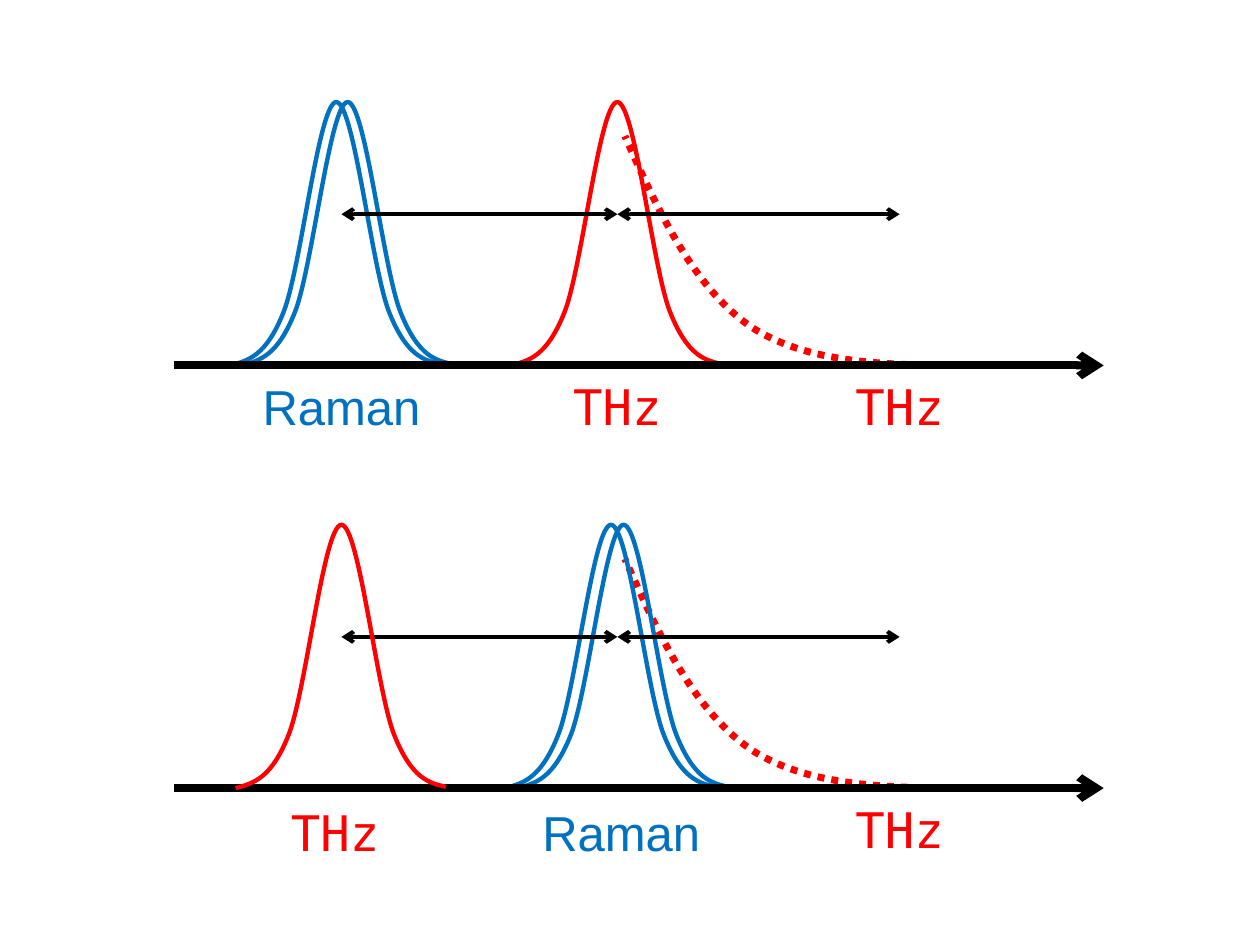
import pptx
import pptx.dml.color
import pptx.enum.dml
import pptx.enum.shapes
import pptx.enum.text
import pptx.oxml.ns
import pptx.util
from lxml import etree

COLUMNS, ROWS = 100, 75
RED, BLUE, BLACK = "FF0000", "0070C0", "000000"
AXIS_ROW, ARROW_ROW = 29, 17
LEFT_PEAK, MIDDLE_PEAK, RIGHT_PEAK = 27.1, 49, 71.4
PULSE = [(-8.4, 0), (-7, -0.4), (-5.6, -0.7), (-4.2, -4.2), (-2.8, -7.7),
         (-1.4, -20.9), (0, -20.9), (1.4, -20.9), (2.8, -7.7), (4.2, -4.2),
         (5.6, -0.7), (7, -0.4), (8.3, -0.1)]
DECAY = [(28.6, 0), (22, 0), (15.4, 0), (10.7, -3), (6.1, -6.1),
         (3.3, -12.1), (0.6, -18.2)]


def color(hex_string):
    return pptx.dml.color.RGBColor.from_string(hex_string)


def tag(name):
    return pptx.oxml.ns.qn("a:" + name)


class Diagram:
    def __init__(self, deck):
        self.cell_width = deck.slide_width / COLUMNS
        self.cell_height = deck.slide_height / ROWS
        self.slide = deck.slides.add_slide(deck.slide_layouts[6])

    def start_panel(self, top):
        self.panel = self.slide.shapes.add_group_shape().shapes
        self.top = top

    def place(self, column, row):
        return (round(column * self.cell_width),
                round((self.top + row) * self.cell_height))

    def stroke(self, line, hex_string, width):
        line.color.rgb = color(hex_string)
        line.width = pptx.util.Pt(width)

    def curve(self, points, center, hex_string, width=2.5, dash=None):
        places = [self.place(center + x, AXIS_ROW + y) for x, y in points]
        builder = self.panel.build_freeform(*places[0])
        builder.add_line_segments(places[1:], close=False)
        outline = builder.convert_to_shape()
        outline.shadow.inherit = False
        outline.fill.background()
        self.stroke(outline.line, hex_string, width)
        if dash:
            outline.line.dash_style = dash
        route = outline.element.find(".//" + tag("path"))
        segments = route.findall(tag("lnTo"))
        for first in range(0, len(segments), 3):
            bezier = etree.SubElement(route, tag("cubicBezTo"))
            for segment in segments[first:first + 3]:
                bezier.append(segment[0])
                route.remove(segment)

    def arrow(self, start, end, row, width, ends):
        connector = self.panel.add_connector(
            pptx.enum.shapes.MSO_CONNECTOR.STRAIGHT,
            *self.place(start, row), *self.place(end, row))
        self.stroke(connector.line, BLACK, width)
        line = connector.line._get_or_add_ln()
        for end_name in ends:
            etree.SubElement(line, tag(end_name), type="arrow")
        etree.SubElement(connector.element.spPr, tag("effectLst"))

    def label(self, text, center, row, hex_string, font, width):
        box = self.panel.add_textbox(
            *self.place(center - width / 2, row),
            round(width * self.cell_width), round(5.7 * self.cell_height))
        frame = box.text_frame
        frame.word_wrap = False
        frame.vertical_anchor = pptx.enum.text.MSO_ANCHOR.MIDDLE
        paragraph = frame.paragraphs[0]
        paragraph.text = text
        paragraph.alignment = pptx.enum.text.PP_ALIGN.CENTER
        paragraph.font.size = pptx.util.Pt(28)
        paragraph.font.name = font
        paragraph.font.color.rgb = color(hex_string)

    def thz_label(self, center, row=29.4):
        self.label("THz", center, row, RED, "DejaVu Sans Mono", 9.4)

    def raman_label(self, center, row=29.4):
        self.label("Raman", center, row, BLUE, "Arial", 14.8)

    def decay(self):
        self.curve(DECAY, MIDDLE_PEAK, RED, 4,
                   pptx.enum.dml.MSO_LINE.ROUND_DOT)

    def raman_pair(self, first, second):
        for center in (first, second):
            self.curve(PULSE, center, BLUE)

    def thz_pulse(self, center):
        self.curve(PULSE, center, RED)

    def axis(self):
        self.arrow(13.8, 87.6, AXIS_ROW, 4.5, ["tailEnd"])

    def spacings(self):
        for start, end in ((LEFT_PEAK, MIDDLE_PEAK),
                           (MIDDLE_PEAK, RIGHT_PEAK)):
            self.arrow(start, end, ARROW_ROW, 2.25, ["headEnd", "tailEnd"])


def main():
    deck = pptx.Presentation()
    deck.slide_width = pptx.util.Inches(10)
    deck.slide_height = pptx.util.Inches(7.5)
    diagram = Diagram(deck)

    diagram.start_panel(0)
    diagram.decay()
    diagram.thz_pulse(MIDDLE_PEAK)
    diagram.raman_pair(26.7, 27.6)
    diagram.axis()
    diagram.thz_label(RIGHT_PEAK)
    diagram.thz_label(MIDDLE_PEAK)
    diagram.spacings()
    diagram.raman_label(LEFT_PEAK)

    diagram.start_panel(33.55)
    diagram.decay()
    diagram.raman_pair(48.5, 49.5)
    diagram.axis()
    diagram.thz_label(RIGHT_PEAK)
    diagram.spacings()
    diagram.raman_label(49.3, 29.6)
    diagram.thz_label(26.6, 29.6)
    diagram.thz_pulse(LEFT_PEAK)

    deck.save("out.pptx")


if __name__ == "__main__":
    main()
